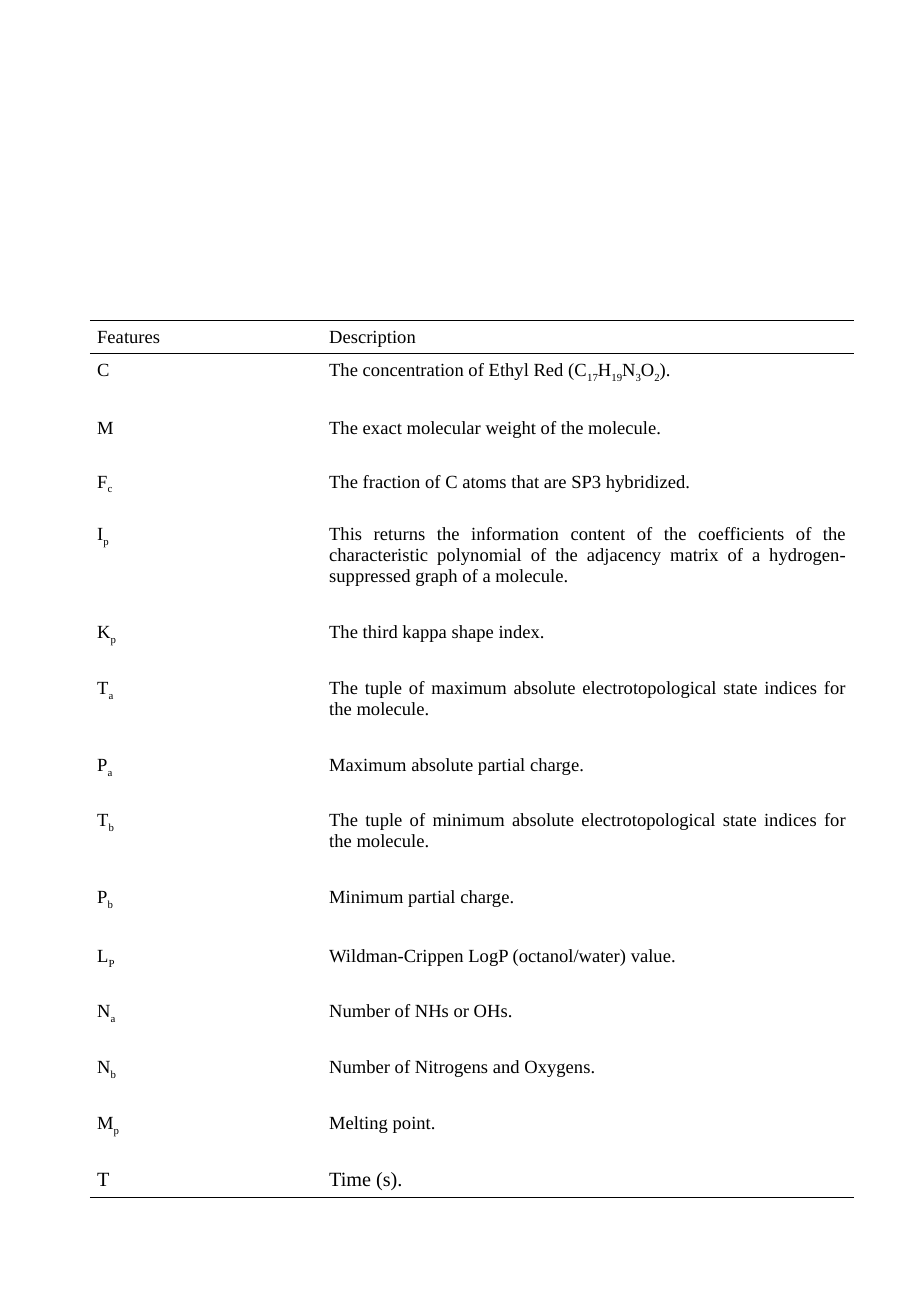
import pptx
import pptx.dml.color
import pptx.enum.text
import pptx.oxml
import pptx.oxml.ns
import pptx.util

EMU_PER_PX = 4572
FONT = "Times New Roman"
COLORS = {"text": "000000", "rule": "000000"}
RULE_POINTS = 0.75
SUBSCRIPT_MARK = "|"
COLUMN_WIDTHS = [382, 876]
FEATURES = [
    (55, "Features", "Description"),
    (95, "C", "The concentration of Ethyl Red (C|17|H|19|N|3|O|2|)."),
    (89, "M", "The exact molecular weight of the molecule."),
    (87, "F|c", "The fraction of C atoms that are SP3 hybridized."),
    (161, "I|p", "This returns the information content of the coefficients of the "
                 "characteristic polynomial of the adjacency matrix of a "
                 "hydrogen-suppressed graph of a molecule."),
    (92, "K|p", "The third kappa shape index."),
    (127, "T|a", "The tuple of maximum absolute electrotopological state indices "
                 "for the molecule."),
    (91, "P|a", "Maximum absolute partial charge."),
    (127, "T|b", "The tuple of minimum absolute electrotopological state indices "
                 "for the molecule."),
    (97, "P|b", "Minimum partial charge."),
    (91, "L|P", "Wildman-Crippen LogP (octanol/water) value."),
    (92, "N|a", "Number of NHs or OHs."),
    (92, "N|b", "Number of Nitrogens and Oxygens."),
    (92, "M|p", "Melting point."),
    (58, "T", "Time (s)."),
]


def px(length):
    return pptx.util.Emu(length * EMU_PER_PX)


def set_borders(cell, ruled_sides):
    properties = cell._tc.get_or_add_tcPr()
    for side in ("L", "R", "T", "B"):
        line = pptx.oxml.parse_xml(
            f'<a:ln{side} {pptx.oxml.ns.nsdecls("a")}/>')
        if side in ruled_sides:
            line.set("w", str(pptx.util.Pt(RULE_POINTS)))
            line.append(pptx.oxml.parse_xml(
                f'<a:solidFill {pptx.oxml.ns.nsdecls("a")}>'
                f'<a:srgbClr val="{COLORS["rule"]}"/></a:solidFill>'))
        else:
            line.append(pptx.oxml.parse_xml(
                f'<a:noFill {pptx.oxml.ns.nsdecls("a")}/>'))
        properties.append(line)


def write_text(cell, text, size):
    cell.margin_left = cell.margin_right = px(12)
    cell.margin_top = cell.margin_bottom = px(10)
    paragraph = cell.text_frame.paragraphs[0]
    paragraph.alignment = pptx.enum.text.PP_ALIGN.JUSTIFY
    paragraph.font.name = FONT
    paragraph.font.size = pptx.util.Pt(size)
    paragraph.font.color.rgb = pptx.dml.color.RGBColor.from_string(COLORS["text"])
    for index, part in enumerate(text.split(SUBSCRIPT_MARK)):
        run = paragraph.add_run()
        run.text = part
        if index % 2:
            run.font._element.set("baseline", "-25000")


def add_feature_table(slide, left, top):
    heights = [height for height, *_ in FEATURES]
    table = slide.shapes.add_table(
        len(FEATURES), len(COLUMN_WIDTHS), px(left), px(top),
        px(sum(COLUMN_WIDTHS)), px(sum(heights))).table
    table.first_row = False
    table.horz_banding = False
    for column, width in zip(table.columns, COLUMN_WIDTHS):
        column.width = px(width)
    last = len(FEATURES) - 1
    ruled_sides = {0: "TB", 1: "T", last: "B"}
    for index, (height, *texts) in enumerate(FEATURES):
        row = table.rows[index]
        row.height = px(height)
        for cell, text in zip(row.cells, texts):
            set_borders(cell, ruled_sides.get(index, ""))
            cell.fill.background()
            write_text(cell, text, 12 if index == last else 11)


def main():
    presentation = pptx.Presentation()
    presentation.slide_width = px(1500)
    presentation.slide_height = px(2168)
    slide = presentation.slides.add_slide(presentation.slide_layouts[6])
    add_feature_table(slide, 148, 528)
    presentation.save("out.pptx")


if __name__ == "__main__":
    main()
